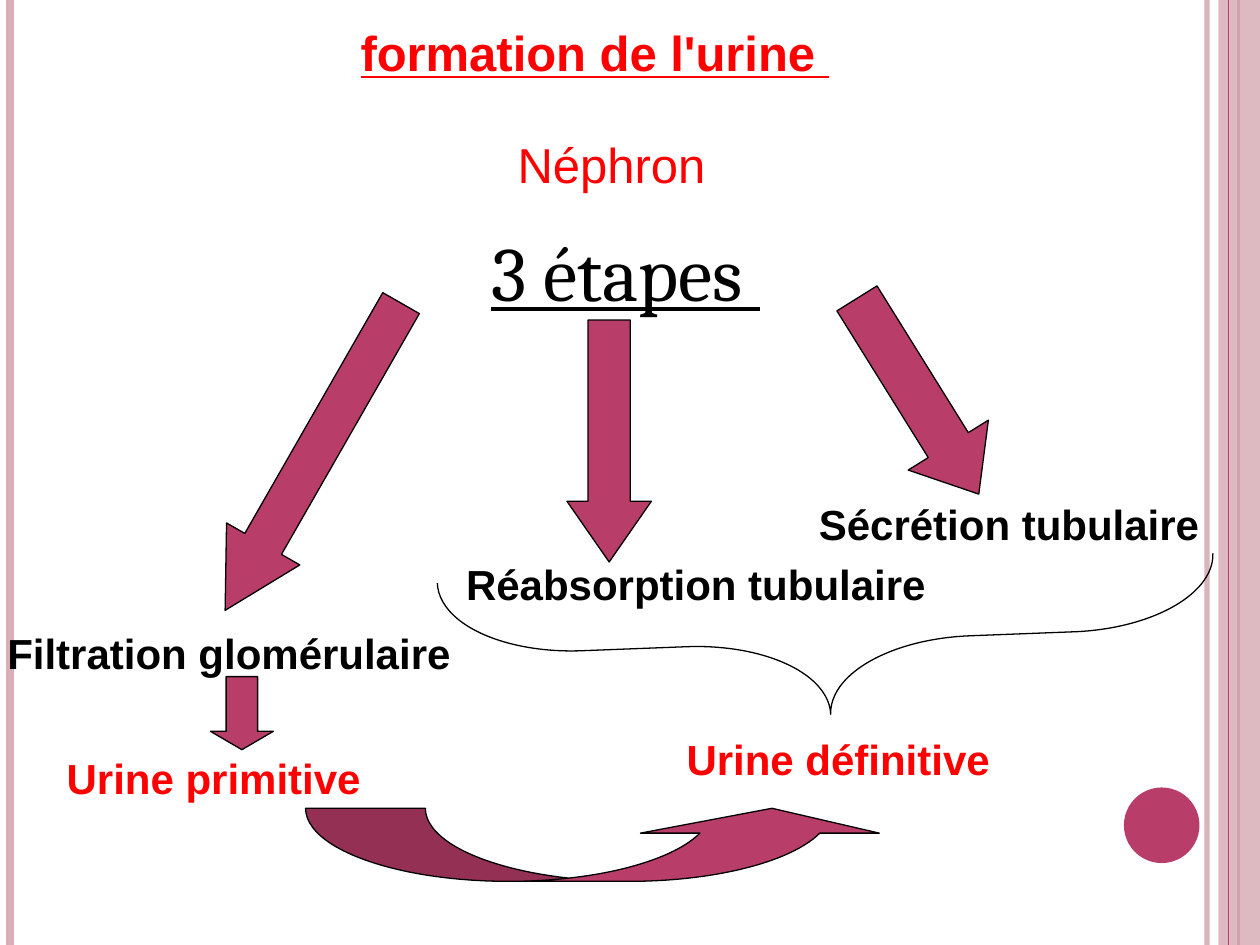
from lxml import etree
from pptx import Presentation
from pptx.dml.color import RGBColor
from pptx.enum.shapes import MSO_CONNECTOR, MSO_SHAPE
from pptx.enum.text import MSO_ANCHOR, PP_ALIGN
from pptx.oxml.ns import qn
from pptx.util import Inches, Pt

BERRY = RGBColor(0xB8, 0x3D, 0x68)
PINK = RGBColor(0xD8, 0xAF, 0xB9)
RED = RGBColor(0xFF, 0, 0)
BLACK = RGBColor(0, 0, 0)

LABEL = dict(name="Arial", size=Pt(24), bold=True)
HEADING = dict(name="Arial", size=Pt(28), bold=True, underline=True)
PLAIN = dict(name="Arial", size=Pt(28), bold=False)
STEPS = dict(name="Cambria", size=Pt(44), underline=True)


def write(tf, text, color, font, align=PP_ALIGN.LEFT):
    tf.word_wrap = True
    tf.vertical_anchor = MSO_ANCHOR.TOP
    p = tf.paragraphs[0]
    p.alignment = align
    r = p.add_run()
    r.text = text
    for key, value in font.items():
        setattr(r.font, key, value)
    r.font.color.rgb = color


def add_text(s, box, text, color, font):
    tb = s.shapes.add_textbox(*map(Inches, box))
    write(tb.text_frame, text, color, font)


def set_alpha(shape, percent):
    clr = shape._element.spPr.find(".//" + qn("a:srgbClr"))
    etree.SubElement(clr, qn("a:alpha")).set("val", str(percent * 1000))


def add_shape(s, kind, box, fill=BERRY, line=BLACK, rotation=0, adjust=()):
    sp = s.shapes.add_shape(kind, *map(Inches, box))
    sp.shadow.inherit = False
    sp.rotation = rotation
    for i, value in enumerate(adjust):
        sp.adjustments[i] = value
    if fill is None:
        sp.fill.background()
    else:
        sp.fill.solid()
        sp.fill.fore_color.rgb = fill
    if line is None:
        sp.line.fill.background()
    else:
        sp.line.color.rgb = line
        sp.line.width = Pt(0.75)
    return sp


def add_rule(s, x, color, width):
    c = s.shapes.add_connector(MSO_CONNECTOR.STRAIGHT, Inches(x), 0,
                               Inches(x), Inches(7.5))
    c.line.color.rgb = color
    c.line.width = Pt(width)
    etree.SubElement(c._element.spPr, qn("a:effectLst"))
    return c


def add_frame(s):
    # Side rules, right band and disc
    set_alpha(add_rule(s, 9.58, PINK, 3), 93)
    add_rule(s, 0.08, PINK, 4.5)
    add_rule(s, 9.83, BERRY, 1.5)
    band = add_shape(s, MSO_SHAPE.RECTANGLE, (9.67, 0, 0.33, 7.5), PINK, None)
    set_alpha(band, 87)
    add_rule(s, 9.75, BERRY, 0.75)
    add_shape(s, MSO_SHAPE.OVAL, (8.92, 6.25, 0.6, 0.6), line=None)


def add_heading(s, box):
    title = s.shapes.title
    title.left, title.top, title.width, title.height = map(Inches, box)
    write(title.text_frame, "formation de l'urine ", RED, HEADING,
          PP_ALIGN.CENTER)
    x, y = box[:2]
    add_text(s, (x + 1.79, y + 0.89, 2.5, 0.55), "Néphron", RED, PLAIN)
    add_text(s, (x + 1.58, y + 1.6, 3, 0.85), "3 étapes ", BLACK, STEPS)


def add_arrows(s):
    # box, rotation, head length
    for box, rotation, head in [
        ((2.15, 2.22, 0.67, 2.81), 29.8, 0.906),
        ((4.5, 2.54, 0.67, 1.92), 0, 0.719),
        ((6.91, 2.23, 0.75, 1.83), 328.1, 0.611),
        ((1.67, 5.37, 0.5, 0.58), 0, 0.292),
    ]:
        add_shape(s, MSO_SHAPE.DOWN_ARROW, box, rotation=rotation,
                  adjust=(0.5, head))


def add_labels(s):
    for x, y, w, text, color in [
        (-0.04, 4.93, 3.78, "Filtration glomérulaire", BLACK),
        (3.6, 4.38, 3.85, "Réabsorption tubulaire", BLACK),
        (6.4, 3.91, 3.25, "Sécrétion tubulaire", BLACK),
        (0.43, 5.92, 2.98, "Urine primitive", RED),
        (5.35, 5.77, 2.98, "Urine définitive", RED),
    ]:
        add_text(s, (x, y, w, 0.5), text, color, LABEL)


def add_result(s):
    # Brace joining the two tubular steps, then primary to final urine
    add_shape(s, MSO_SHAPE.RIGHT_BRACE, (5.99, 2.01, 1.16, 6.16), fill=None,
              rotation=87.8, adjust=(0.97, 0.5))
    add_shape(s, MSO_SHAPE.CURVED_RIGHT_ARROW, (4.46, 4.38, 0.58, 4.65),
              rotation=270, adjust=(1.64, 3.27, 0.34))


def main():
    prs = Presentation()
    prs.slide_width, prs.slide_height = Inches(10), Inches(7.5)
    s = prs.slides.add_slide(prs.slide_layouts[5])
    add_frame(s)
    add_heading(s, (2.22, 0.13, 5, 0.6))
    add_arrows(s)
    add_labels(s)
    add_result(s)
    prs.save("out.pptx")


if __name__ == "__main__":
    main()
